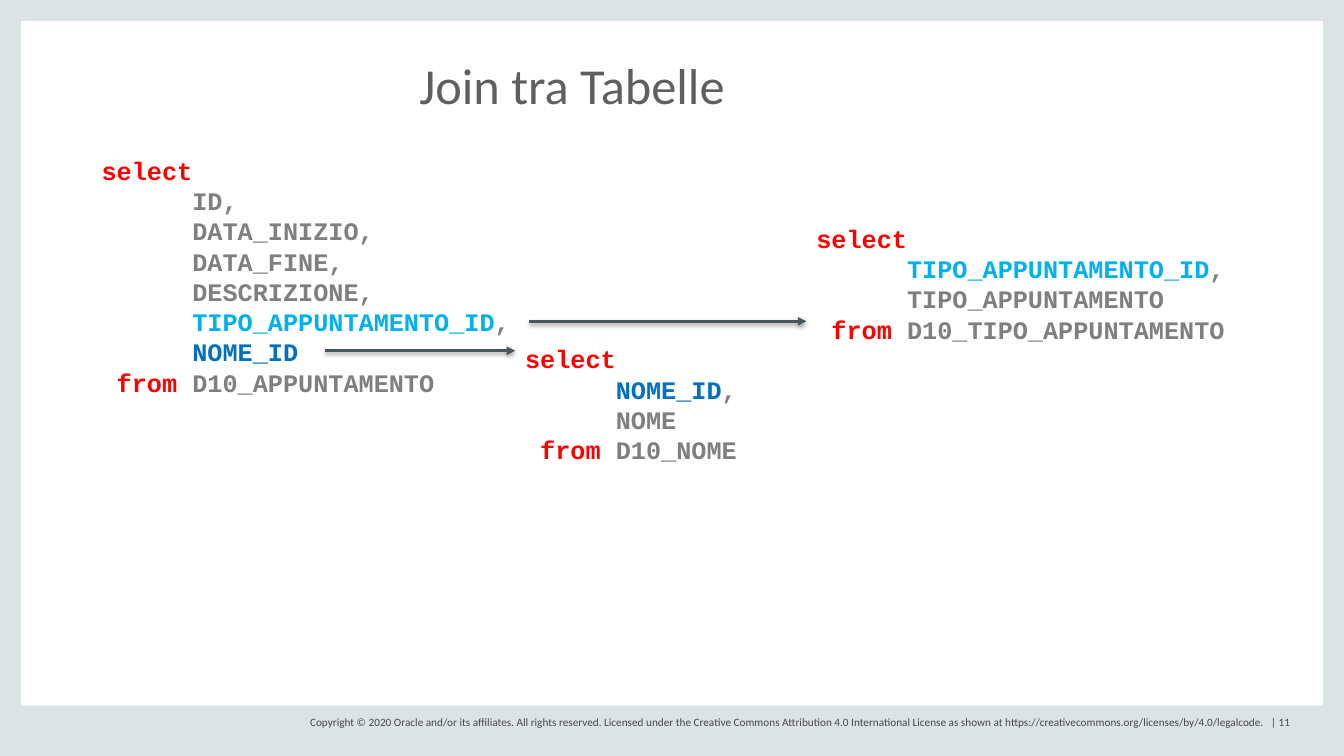
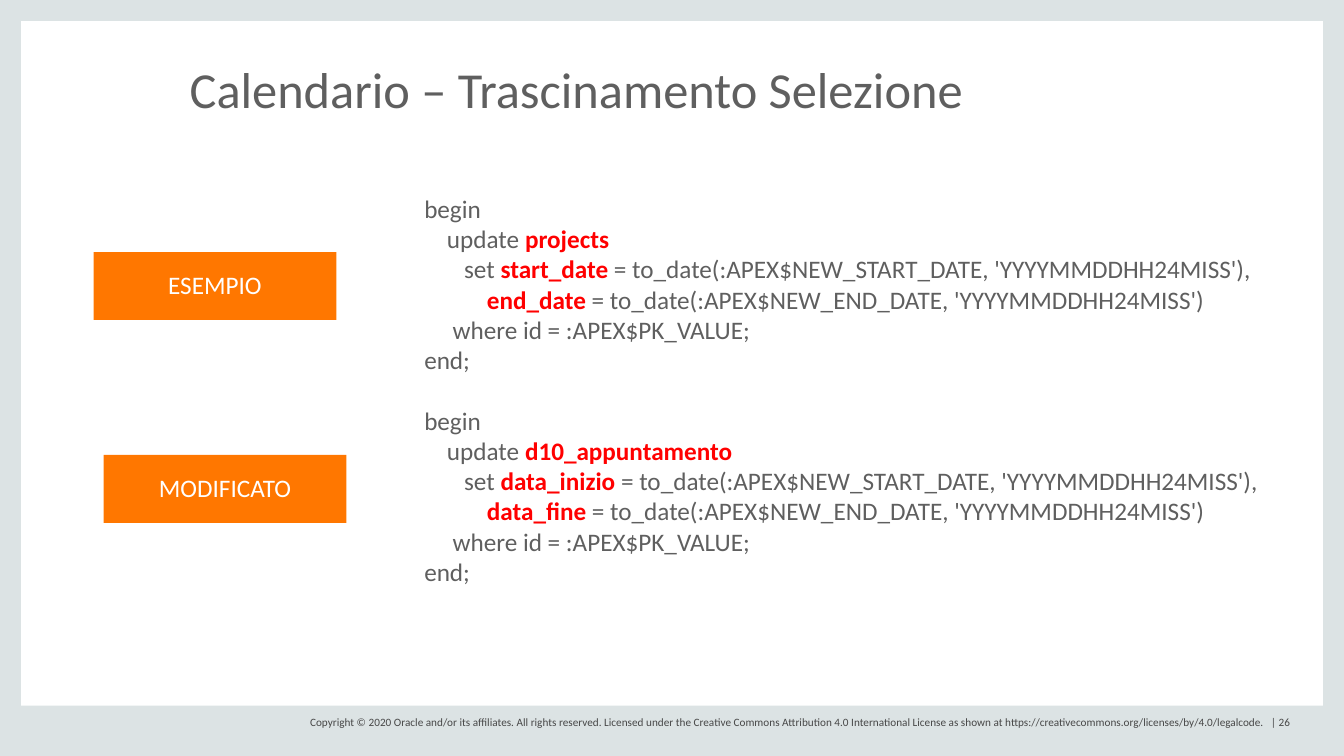
from lxml import etree
from pptx import Presentation
from pptx.dml.color import RGBColor
from pptx.enum import shapes, text
from pptx.oxml import parse_xml
from pptx.oxml.ns import nsdecls, qn
from pptx.util import Pt

WIDTH, HEIGHT = 960, 540
TITLE_ONLY = 5
SANS, MONO = "Calibri", "Courier New"
BAND, INK, FOOTER_INK, ARROW = "DCE3E4", "5F5F5F", "474747", "46575E"
ORANGE, WHITE, CODE_GREY = "FF7700", "FFFFFF", "7F7F7F"
RED, CYAN, BLUE = "FF0000", "00B0F0", "0070C0"
LINE_PITCH = 21.6
KEY_COLOURS = {
    "select": RED,
    "from": RED,
    "TIPO_APPUNTAMENTO_ID": CYAN,
    "NOME_ID": BLUE,
}
COPYRIGHT = (
    "Copyright © 2020 Oracle and/or its affiliates. All rights reserved. "
    "Licensed under the Creative Commons Attribution 4.0 International License "
    "as shown at https://creativecommons.org/licenses/by/4.0/legalcode.   | {}"
)
SOFT_SHADOW = (
    f'<a:effectLst {nsdecls("a")}>'
    '<a:outerShdw blurRad="39370" dist="20320" dir="5400000" rotWithShape="0">'
    '<a:srgbClr val="000000"><a:alpha val="38000"/></a:srgbClr>'
    "</a:outerShdw></a:effectLst>"
)


def colour(hex_string):
    return RGBColor.from_string(hex_string)


def points(*lengths):
    return [Pt(length) for length in lengths]


class Deck:
    def __init__(self):
        self.presentation = Presentation()
        self.presentation.slide_width = Pt(WIDTH)
        self.presentation.slide_height = Pt(HEIGHT)
        self.slide = None

    def start_slide(self, title, title_place, page):
        layout = self.presentation.slide_layouts[TITLE_ONLY]
        self.slide = self.presentation.slides.add_slide(layout)
        for band in (
            (0, 0, 15, HEIGHT),
            (WIDTH - 15, 0, 15, HEIGHT),
            (0, 504, WIDTH, 36),
            (0, 0, WIDTH, 15),
        ):
            self.block(band, BAND)
        self.footer(page)
        self.title(title, title_place)

    def style(self, paragraph, size, ink, font=SANS):
        paragraph.font.name = font
        paragraph.font.size = Pt(size)
        paragraph.font.color.rgb = colour(ink)

    def bare_frame(self, shape, anchor):
        """Remove the insets, fix the size and return the text frame."""
        frame = shape.text_frame
        frame.margin_left = frame.margin_right = 0
        frame.margin_top = frame.margin_bottom = 0
        frame.word_wrap = True
        frame.auto_size = text.MSO_AUTO_SIZE.NONE
        frame.vertical_anchor = anchor
        return frame

    def title(self, wording, place):
        heading = self.slide.shapes.title
        heading.left, heading.top, heading.width, heading.height = points(*place)
        frame = self.bare_frame(heading, text.MSO_ANCHOR.BOTTOM)
        frame.text = wording
        paragraph = frame.paragraphs[0]
        paragraph.alignment = text.PP_ALIGN.LEFT
        paragraph.line_spacing = 0.8
        self.style(paragraph, 36, INK)

    def footer(self, page):
        box = self.slide.shapes.add_textbox(*points(221.5, 509.8, 720, 12))
        frame = self.bare_frame(box, text.MSO_ANCHOR.MIDDLE)
        frame.text = COPYRIGHT.format(page)
        self.style(frame.paragraphs[0], 8, FOOTER_INK)

    def block(self, place, fill):
        rectangle = self.slide.shapes.add_shape(
            shapes.MSO_SHAPE.RECTANGLE, *points(*place)
        )
        rectangle.shadow.inherit = False
        rectangle.fill.solid()
        rectangle.fill.fore_color.rgb = colour(fill)
        rectangle.line.fill.background()
        return rectangle

    def label(self, wording, left, top):
        frame = self.block((left, top, 173.5, 48.5), ORANGE).text_frame
        frame.text = wording
        frame.vertical_anchor = text.MSO_ANCHOR.MIDDLE
        paragraph = frame.paragraphs[0]
        paragraph.alignment = text.PP_ALIGN.CENTER
        paragraph.line_spacing = 0.9
        self.style(paragraph, 18, WHITE)

    def code(self, place, lines, font, ink, all_bold=False):
        """Write code lines; parts between bars are highlighted."""
        frame = self.slide.shapes.add_textbox(*points(*place)).text_frame
        frame.word_wrap = True
        for number, line in enumerate(lines):
            paragraph = frame.paragraphs[0] if number == 0 else frame.add_paragraph()
            self.style(paragraph, 18, ink, font)
            paragraph.font.bold = all_bold
            for position, part in enumerate(line.split("|")):
                if not part:
                    continue
                run = paragraph.add_run()
                run.text = part
                if position % 2:
                    run.font.bold = True
                    run.font.color.rgb = colour(KEY_COLOURS.get(part, RED))
        return frame

    def query(self, place, columns, table):
        listed = ",\n".join(f"      {column}" for column in columns).split("\n")
        lines = ["|select|", *listed, f" |from| {table}"]
        self.code(place, lines, MONO, CODE_GREY, all_bold=True)

    def arrow(self, left, right, height):
        connector = self.slide.shapes.add_connector(
            shapes.MSO_CONNECTOR.STRAIGHT, *points(left, height, right, height)
        )
        connector.line.color.rgb = colour(ARROW)
        connector.line.width = Pt(2)
        outline = connector.line._get_or_add_ln()
        etree.SubElement(outline, qn("a:tailEnd"), type="triangle")
        connector._element.spPr.append(parse_xml(SOFT_SHADOW))


def update_block(table, start, end):
    return [
        "begin",
        f"    update |{table}|",
        f"       set |{start}| = to_date(:APEX$NEW_START_DATE, 'YYYYMMDDHH24MISS'),",
        f"           |{end}| = to_date(:APEX$NEW_END_DATE, 'YYYYMMDDHH24MISS')",
        "     where id = :APEX$PK_VALUE;",
        "end;",
    ]


def join_slide(deck):
    deck.start_slide("Join tra Tabelle", (299.5, 33, 277, 48.5), 11)
    deck.query(
        (65.5, 107.3, 312.5, 181.5),
        ["ID", "DATA_INIZIO", "DATA_FINE", "DESCRIZIONE",
         "|TIPO_APPUNTAMENTO_ID|", "|NOME_ID|"],
        "D10_APPUNTAMENTO",
    )
    deck.query(
        (576, 156, 322, 94.5),
        ["|TIPO_APPUNTAMENTO_ID|", "TIPO_APPUNTAMENTO"],
        "D10_TIPO_APPUNTAMENTO",
    )
    deck.query((368, 242, 322, 94.5), ["|NOME_ID|", "NOME"], "D10_NOME")
    deck.arrow(378, 576, 229.5)
    deck.arrow(232, 368, 250.5)


def calendar_slide(deck):
    deck.start_slide(
        "Calendario – Trascinamento Selezione", (135.5, 36, 625.5, 48.5), 26
    )
    sample = update_block("projects", "start_date", "end_date")
    modified = update_block("d10_appuntamento", "data_inizio", "data_fine")
    listing = deck.code((296, 134.5, 625.5, 291), sample + modified, SANS, INK)
    listing.paragraphs[len(sample)].space_before = Pt(LINE_PITCH)
    deck.label("ESEMPIO", 66.8, 180)
    deck.label("MODIFICATO", 74, 325)


def main():
    deck = Deck()
    join_slide(deck)
    calendar_slide(deck)
    deck.presentation.save("out.pptx")


if __name__ == "__main__":
    main()
